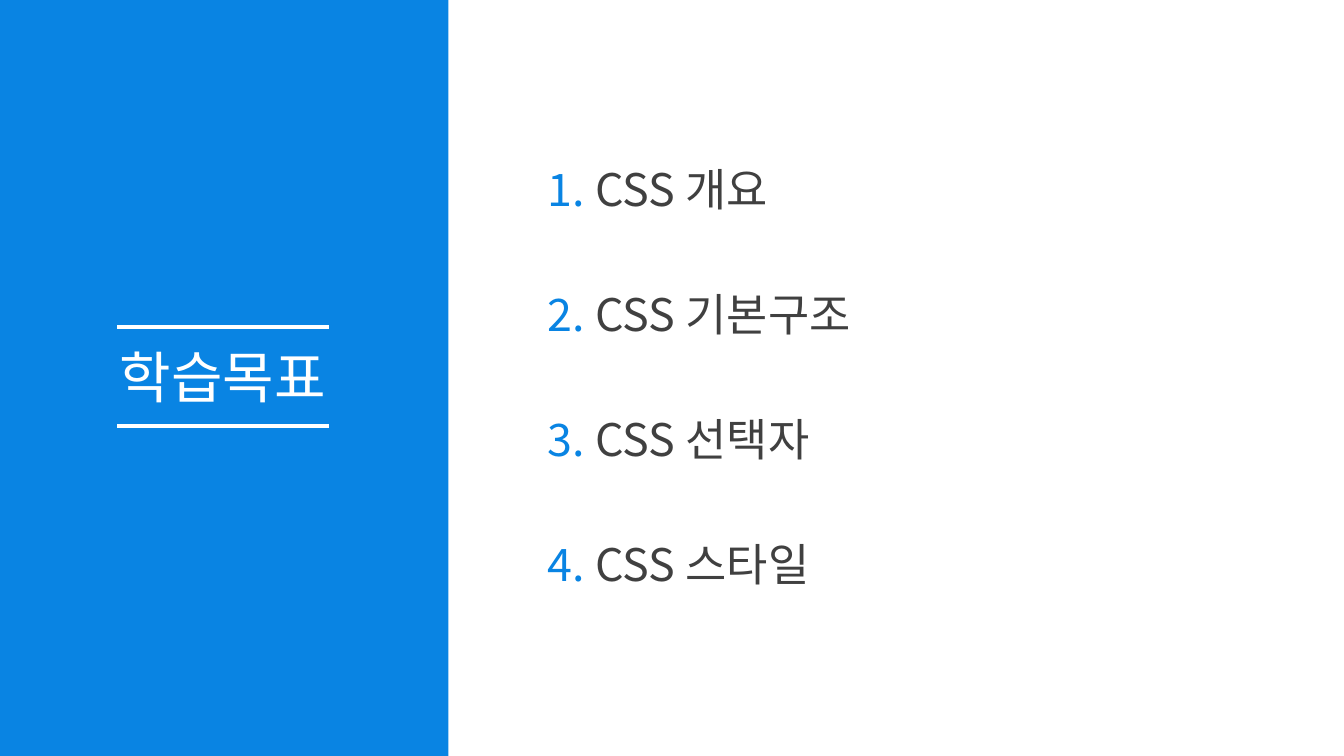
from lxml import etree
from pptx import Presentation
from pptx.dml.color import RGBColor
from pptx.enum.shapes import MSO_CONNECTOR, MSO_SHAPE
from pptx.enum.text import MSO_AUTO_SIZE
from pptx.oxml.ns import qn
from pptx.util import Cm, Pt

RECT = MSO_SHAPE.RECTANGLE
STRAIGHT = MSO_CONNECTOR.STRAIGHT
GROW = MSO_AUTO_SIZE.SHAPE_TO_FIT_TEXT
BLUE = RGBColor(0x09, 0x84, 0xE3)
WHITE = RGBColor(0xFF, 0xFF, 0xFF)
GRAY = RGBColor(0x40, 0x40, 0x40)
FONT = "Noto Sans CJK KR"
TOPICS = ["개요", "기본구조", "선택자", "스타일"]


def add_text(s, left, top, width, height, parts, size):
    tf = s.shapes.add_textbox(left, top, width, height).text_frame
    tf.word_wrap = False
    tf.auto_size = GROW
    p = tf.paragraphs[0]
    for text, color in parts:
        r = p.add_run()
        r.text = text
        r.font.size = Pt(size)
        r.font.name = FONT
        r.font.color.rgb = color
        etree.SubElement(r.font._element, qn("a:ea")).set("typeface", FONT)


def add_rule(s, left, top, width):
    line = s.shapes.add_connector(STRAIGHT, left, top, left + width, top)
    line.line.color.rgb = WHITE
    line.line.width = Pt(3)
    etree.SubElement(line._element.spPr, qn("a:effectLst"))


def add_title_panel(s, left, top, width, height):
    panel = s.shapes.add_shape(RECT, left, top, width, height)
    panel.shadow.inherit = False
    panel.fill.solid()
    panel.fill.fore_color.rgb = BLUE
    panel.line.fill.background()
    add_text(s, left + Cm(2.77), top + Cm(8.51), Cm(5.69), Cm(1.96),
             [("학습목표", WHITE)], 40)
    for offset in (8.23, 10.74):
        add_rule(s, left + Cm(2.96), top + Cm(offset), Cm(5.33))


def add_topics(s, left, top, pitch):
    for i, topic in enumerate(TOPICS):
        width = Cm(4.34 + 1.04 * len(topic))
        add_text(s, left, top + i * pitch, width, Cm(1.62),
                 [(f"{i + 1}. ", BLUE), (f"CSS {topic}", GRAY)], 32)


def main():
    prs = Presentation()
    prs.slide_width = Cm(33.87)
    prs.slide_height = Cm(19.05)
    s = prs.slides.add_slide(prs.slide_layouts[6])
    add_title_panel(s, 0, 0, Cm(11.3), prs.slide_height)
    add_topics(s, Cm(13.56), Cm(3.94), Cm(3.15))
    prs.save("out.pptx")


if __name__ == "__main__":
    main()
